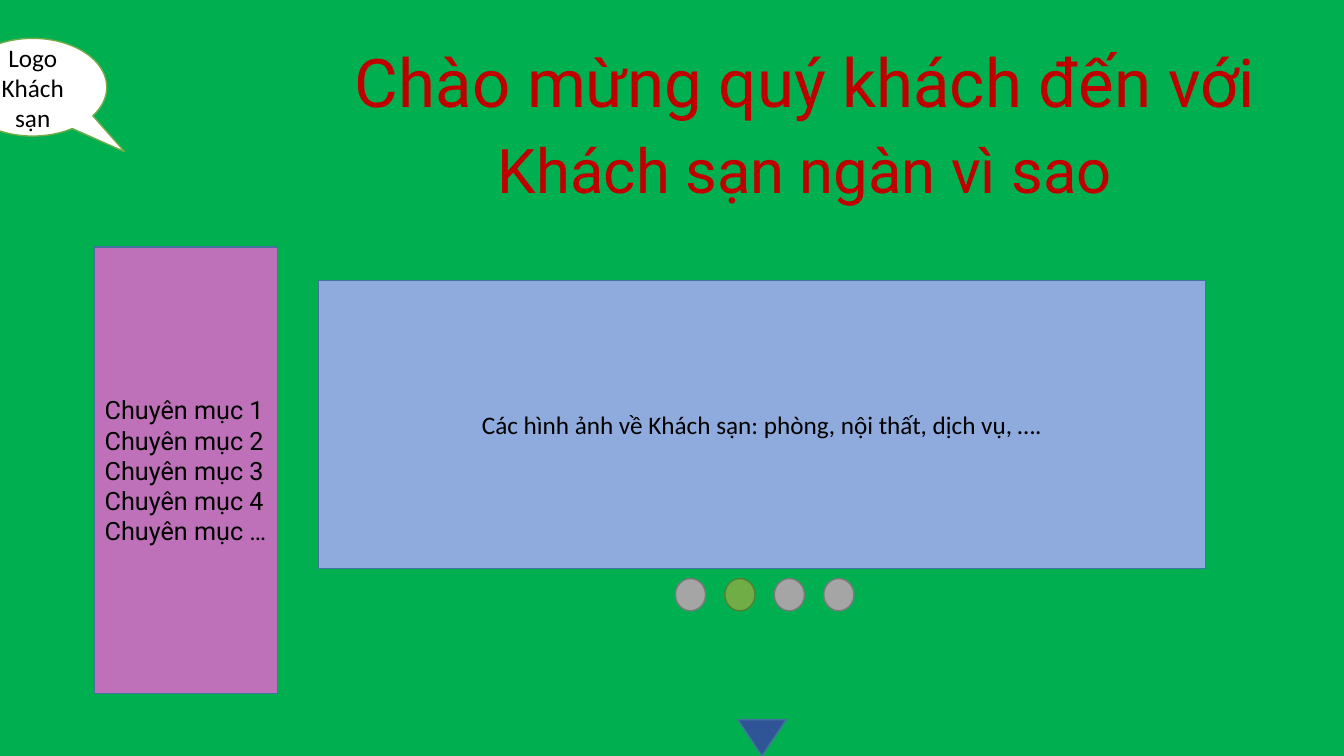
from dataclasses import dataclass

from pptx import Presentation
from pptx.dml.color import RGBColor
from pptx.enum.shapes import MSO_SHAPE
from pptx.enum.text import MSO_ANCHOR, MSO_AUTO_SIZE, PP_ALIGN
from pptx.shapes.autoshape import Shape
from pptx.shapes.shapetree import GroupShapes, SlideShapes
from pptx.util import Inches, Pt

RECT = MSO_SHAPE.RECTANGLE
DOT = MSO_SHAPE.FLOWCHART_CONNECTOR
BUBBLE = MSO_SHAPE.OVAL_CALLOUT
ARROW = MSO_SHAPE.FLOWCHART_MERGE
LEFT, CENTER = PP_ALIGN.LEFT, PP_ALIGN.CENTER
MIDDLE, BOTTOM = MSO_ANCHOR.MIDDLE, MSO_ANCHOR.BOTTOM

GREEN = RGBColor(0x00, 0xB0, 0x50)
RED = RGBColor(0xC0, 0x00, 0x00)
BLACK = RGBColor(0x00, 0x00, 0x00)
WHITE = RGBColor(0xFF, 0xFF, 0xFF)
SKY = RGBColor(0x8F, 0xAA, 0xDC)
PINK = RGBColor(0xBE, 0x70, 0xB8)
NAVY = RGBColor(0x2F, 0x55, 0x97)
EDGE = RGBColor(0x43, 0x73, 0x9E)
GRAY = RGBColor(0xA5, 0xA5, 0xA5)
GRAY_EDGE = RGBColor(0x7A, 0x7A, 0x7A)
LEAF = RGBColor(0x70, 0xAD, 0x47)
LEAF_EDGE = RGBColor(0x53, 0x80, 0x35)

WIDTH, HEIGHT = Inches(13.333), Inches(7.5)


@dataclass(frozen=True)
class Area:
    """A frame in percent of the slide's width and height."""
    left: float
    top: float
    width: float
    height: float

    def place(self) -> tuple[int, int, int, int]:
        return (int(WIDTH * self.left / 100), int(HEIGHT * self.top / 100),
                int(WIDTH * self.width / 100), int(HEIGHT * self.height / 100))


@dataclass(frozen=True)
class Style:
    font: str
    size: int = 18
    color: RGBColor = BLACK
    align: PP_ALIGN = CENTER
    anchor: MSO_ANCHOR = MIDDLE
    spacing: float = 1.0


@dataclass(frozen=True)
class Block:
    kind: MSO_SHAPE
    area: Area
    fill: RGBColor
    edge: RGBColor
    lines: tuple[str, ...] = ()
    style: Style = Style("Calibri")
    tail: tuple[float, ...] = ()


@dataclass(frozen=True)
class Heading:
    text: str
    area: Area
    style: Style


MENU = tuple(f"Chuyên mục {mark}" for mark in (1, 2, 3, 4, "…"))
PHOTOS = Block(RECT, Area(23.7, 37.07, 66, 38.13), SKY, EDGE,
               ("Các hình ảnh về Khách sạn: phòng, nội thất, dịch vụ, ….",))
SIDE = Block(RECT, Area(7.05, 32.67, 13.58, 59.07), PINK, EDGE, MENU,
             Style("Roboto", align=LEFT))
LOGO = Block(BUBBLE, Area(-3.08, 5.07, 11.03, 12.93), WHITE, LEAF,
             ("Logo Khách sạn",), tail=(0.62, 0.66))
NEXT = Block(ARROW, Area(54.9, 95.2, 3.6, 4.8), NAVY, EDGE)

DOTS, ACTIVE, STEP = 4, 1, 3.68
PAGER = [
    Block(DOT, Area(50.25 + STEP * n, 76.53, 2.25, 4.27),
          LEAF if n == ACTIVE else GRAY,
          LEAF_EDGE if n == ACTIVE else GRAY_EDGE)
    for n in range(DOTS)
]

HEADINGS = (
    Heading("Chào mừng quý khách đến với", Area(22.43, 0.8, 75, 15.87),
            Style("Roboto", 48, RED, anchor=BOTTOM)),
    Heading("Khách sạn ngàn vì sao", Area(22.43, 18, 75, 10),
            Style("Roboto", 44, RED, anchor=BOTTOM, spacing=0.9)),
)


def write(shape: Shape, lines: tuple[str, ...], style: Style) -> None:
    frame = shape.text_frame
    frame.text = "\n".join(lines)
    frame.word_wrap = True
    frame.auto_size = MSO_AUTO_SIZE.NONE
    frame.vertical_anchor = style.anchor
    for para in frame.paragraphs:
        para.alignment = style.align
        para.line_spacing = style.spacing
        para.space_before = Pt(0)
        para.font.name = style.font
        para.font.size = Pt(style.size)
        para.font.color.rgb = style.color


def draw(shapes: SlideShapes | GroupShapes, block: Block) -> None:
    shape = shapes.add_shape(block.kind, *block.area.place())
    shape.shadow.inherit = False
    shape.fill.solid()
    shape.fill.fore_color.rgb = block.fill
    shape.line.color.rgb = block.edge
    shape.line.width = Pt(1)
    for n, value in enumerate(block.tail):
        shape.adjustments[n] = value
    if block.lines:
        write(shape, block.lines, block.style)


def main() -> None:
    deck = Presentation()
    deck.slide_width, deck.slide_height = WIDTH, HEIGHT
    slide = deck.slides.add_slide(deck.slide_layouts[0])
    slide.background.fill.solid()
    slide.background.fill.fore_color.rgb = GREEN

    for holder, head in zip(slide.placeholders, HEADINGS):
        holder.left, holder.top, holder.width, holder.height = head.area.place()
        write(holder, (head.text,), head.style)

    for block in (PHOTOS, SIDE, LOGO, NEXT):
        draw(slide.shapes, block)
    pager = slide.shapes.add_group_shape()
    for dot in PAGER:
        draw(pager.shapes, dot)

    deck.save("out.pptx")


if __name__ == "__main__":
    main()
